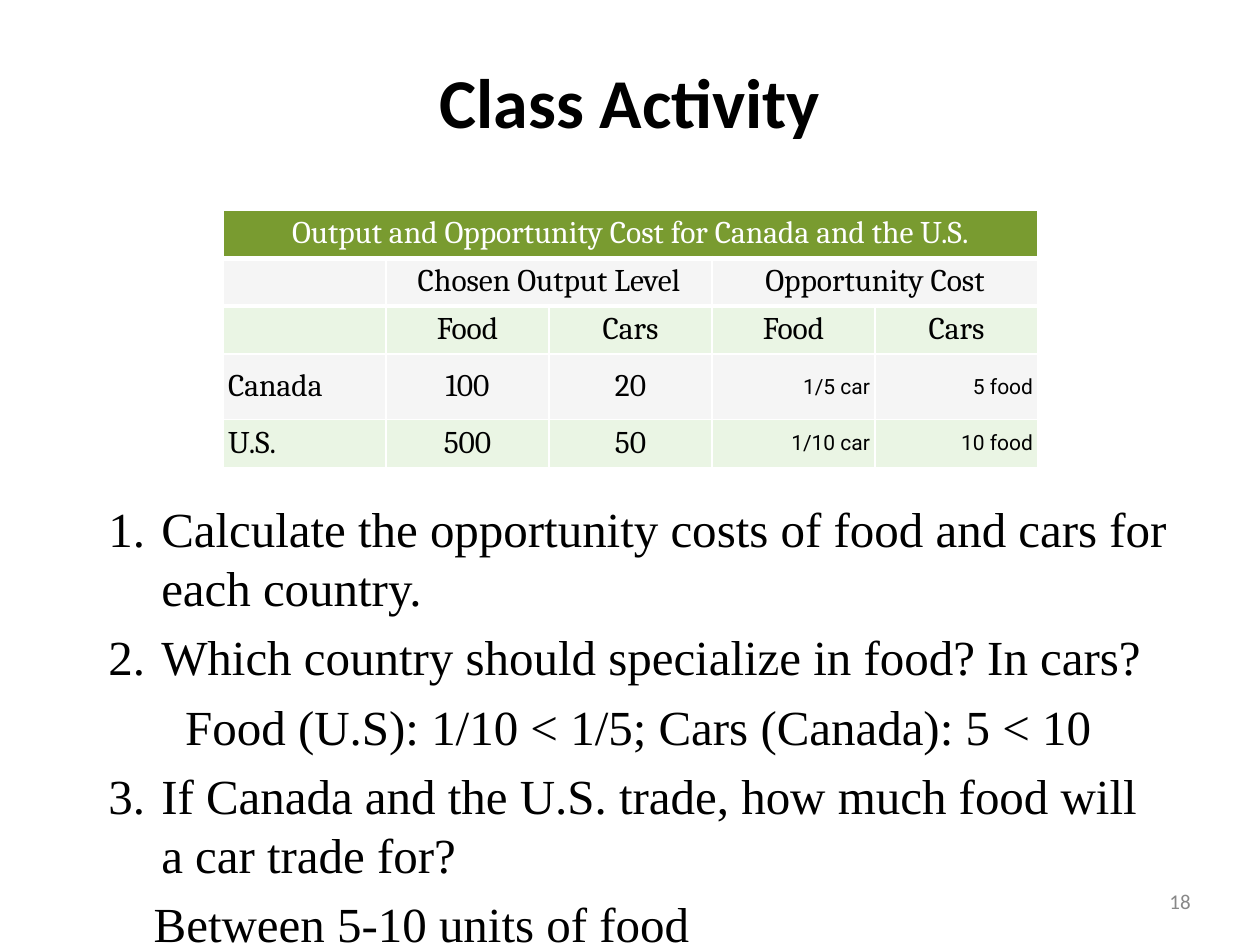
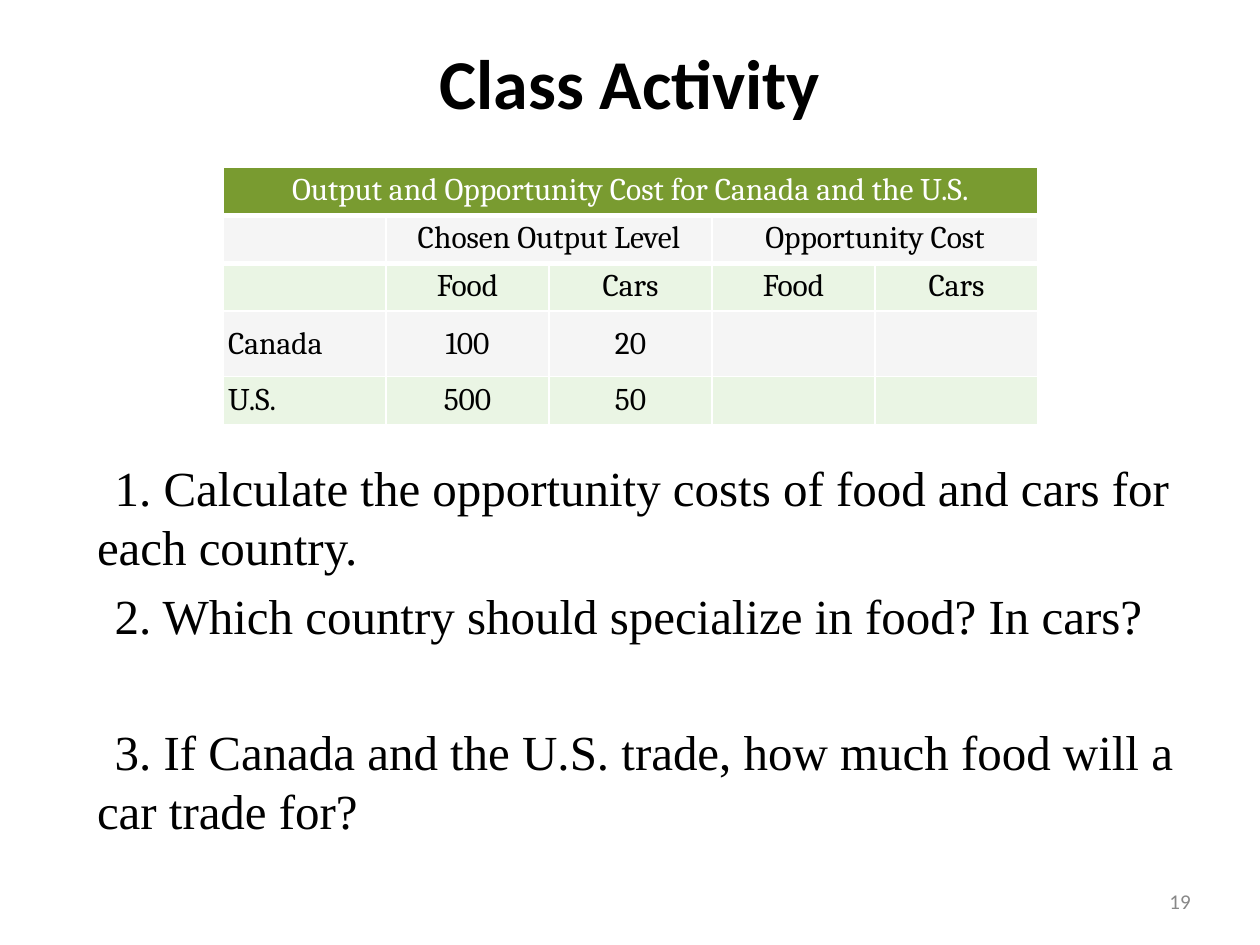
from dataclasses import dataclass

import lxml.etree
import pptx
import pptx.dml.color
import pptx.enum.text
import pptx.oxml.ns
import pptx.util

Inches = pptx.util.Inches
Pt = pptx.util.Pt
ALIGN = pptx.enum.text.PP_ALIGN
ANCHOR = pptx.enum.text.MSO_ANCHOR
qn = pptx.oxml.ns.qn


@dataclass(frozen=True)
class Theme:
    ink: str = "000000"
    paper: str = "FFFFFF"
    banner: str = "799B30"
    grey_band: str = "F5F5F5"
    green_band: str = "EAF5E4"
    page_grey: str = "888888"
    heading_font: str = "Calibri"
    table_font: str = "Cambria"
    answer_font: str = "Roboto"
    body_font: str = "Times New Roman"
    title_size: int = 40
    body_size: int = 28
    table_size: int = 18
    small_size: int = 12


THEME = Theme()
BAND_FILLS = (THEME.banner, THEME.grey_band, THEME.green_band,
              THEME.grey_band, THEME.green_band)
COLUMN_WIDTH = 6.47 / 5
DATA_HEIGHT = 0.52
PLAIN_HEIGHT = (2.02 - DATA_HEIGHT) / 4
ROW_HEIGHTS = (PLAIN_HEIGHT, PLAIN_HEIGHT, PLAIN_HEIGHT, DATA_HEIGHT, PLAIN_HEIGHT)
THICK_RULES = (1, 2)  # horizontal rules under the two heading rows
OUTPUT_ROWS = (("Canada", "100", "20"), ("U.S.", "500", "50"))


@dataclass(frozen=True)
class Line:
    """One body paragraph; lengths in inches, space before in points."""
    text: str
    margin: float = 0
    indent: float = 0.14
    before: int = 6
    level: int = 0
    numbered: bool = False


def numbered(text):
    return Line(text, margin=0.56, indent=-0.42, numbered=True)


def rgb(color):
    return pptx.dml.color.RGBColor.from_string(color)


def style(paragraph, font_name, size, color, bold=False, align=ALIGN.LEFT):
    paragraph.alignment = align
    font = paragraph.font
    font.name, font.size, font.bold = font_name, Pt(size), bold
    font.color.rgb = rgb(color)


def add_text_frame(slide, box, anchor=ANCHOR.TOP, wrap=True):
    frame = slide.shapes.add_textbox(*map(Inches, box)).text_frame
    frame.word_wrap = wrap
    frame.vertical_anchor = anchor
    frame.margin_left = frame.margin_right = Inches(0.05)
    frame.margin_top = frame.margin_bottom = Inches(0.05)
    return frame


def add_title(slide, box, text):
    heading = add_text_frame(slide, box, ANCHOR.MIDDLE).paragraphs[0]
    heading.text = text
    style(heading, THEME.heading_font, THEME.title_size, THEME.ink, True, ALIGN.CENTER)


def add_page_number(slide, box, number):
    page = add_text_frame(slide, box, ANCHOR.MIDDLE, wrap=False).paragraphs[0]
    page.text = str(number)
    style(page, THEME.heading_font, THEME.small_size, THEME.page_grey, align=ALIGN.RIGHT)


def add_cell_borders(cell, row):
    top, bottom = (3 if rule in THICK_RULES else 1 for rule in (row, row + 1))
    properties = cell._tc.get_or_add_tcPr()
    for side, width in (("L", 1), ("R", 1), ("T", top), ("B", bottom)):
        border = lxml.etree.SubElement(properties, qn(f"a:ln{side}"), w=str(Pt(width)))
        fill = lxml.etree.SubElement(border, qn("a:solidFill"))
        lxml.etree.SubElement(fill, qn("a:srgbClr"), val=THEME.paper)


def style_cell(cell, row, column):
    add_cell_borders(cell, row)
    cell.fill.solid()
    cell.fill.fore_color.rgb = rgb(BAND_FILLS[row])
    cell.margin_left = cell.margin_right = Inches(0.04)
    cell.margin_top = cell.margin_bottom = Inches(0.04)
    is_data = row >= 3
    cell.vertical_anchor = ANCHOR.MIDDLE if is_data else ANCHOR.TOP
    entry = cell.text_frame.paragraphs[0]
    if is_data and column >= 3:
        style(entry, THEME.answer_font, THEME.small_size, THEME.ink, align=ALIGN.RIGHT)
    else:
        style(entry, THEME.table_font, THEME.table_size,
              THEME.ink if row else THEME.paper,
              align=ALIGN.LEFT if is_data and column == 0 else ALIGN.CENTER)


def add_cost_table(slide, left, top, costs):
    """Output table; costs holds each country's (food, cars) opportunity cost."""
    rows = [
        ("Output and Opportunity Cost for Canada and the U.S.", "", "", "", ""),
        ("", "Chosen Output Level", "", "Opportunity Cost", ""),
        ("", "Food", "Cars", "Food", "Cars"),
        *(output + cost for output, cost in zip(OUTPUT_ROWS, costs)),
    ]
    table = slide.shapes.add_table(
        len(rows), 5, Inches(left), Inches(top),
        Inches(COLUMN_WIDTH * 5), Inches(sum(ROW_HEIGHTS))).table
    table.first_row = table.horz_banding = False
    for column in table.columns:
        column.width = Inches(COLUMN_WIDTH)
    for row, entries in enumerate(rows):
        table.rows[row].height = Inches(ROW_HEIGHTS[row])
        for column, text in enumerate(entries):
            cell = table.cell(row, column)
            cell.text = text
            style_cell(cell, row, column)
    for row, first, last in ((0, 0, 4), (1, 1, 2), (1, 3, 4)):
        table.cell(row, first).merge(table.cell(row, last))


def add_questions(slide, box, lines):
    frame = add_text_frame(slide, box)
    for position, line in enumerate(lines):
        question = frame.add_paragraph() if position else frame.paragraphs[0]
        question.text = line.text
        question.level = line.level
        properties = question._p.get_or_add_pPr()
        properties.set("marL", str(Inches(line.margin)))
        properties.set("indent", str(Inches(line.indent)))
        if line.numbered:
            lxml.etree.SubElement(properties, qn("a:buAutoNum"), type="arabicPeriod")
        else:
            lxml.etree.SubElement(properties, qn("a:buNone"))
        question.space_before = Pt(line.before)
        style(question, THEME.body_font, THEME.body_size, THEME.ink)


def add_activity_slide(deck, number, title_height, table_top, costs, questions_box, lines):
    slide = deck.slides.add_slide(deck.slide_layouts[6])
    add_title(slide, (0.5, 0.3, 9, title_height), "Class Activity")
    add_cost_table(slide, 1.77, table_top, costs)
    add_questions(slide, questions_box, lines)
    add_page_number(slide, (9.22, 7.02, 0.28, 0.27), number)


def main():
    deck = pptx.Presentation()
    deck.slide_width, deck.slide_height = Inches(10), Inches(7.5)

    calculate = "Calculate the opportunity costs of food and cars for each country."
    specialize = "Which country should specialize in food? In cars?"
    trade = "If Canada and the U.S. trade, how much food will a car trade for?"

    add_activity_slide(
        deck, 18, 0.99, 1.67,
        (("1/5 car", "5 food"), ("1/10 car", "10 food")),
        (0.67, 3.91, 8.65, 3.53),
        (numbered(calculate),
         numbered(specialize),
         Line("Food (U.S): 1/10 < 1/5; Cars (Canada): 5 < 10", indent=0.75, level=2),
         numbered(trade),
         Line("Between 5-10 units of food", indent=0.5, level=1)))
    add_activity_slide(
        deck, 19, 0.7, 1.33,
        (("", ""), ("", "")),
        (0.72, 3.58, 8.65, 2.97),
        (Line(f"1. {calculate}"),
         Line(f"2. {specialize}"),
         Line(f"3. {trade}", before=44)))

    deck.save("out.pptx")


if __name__ == "__main__":
    main()
